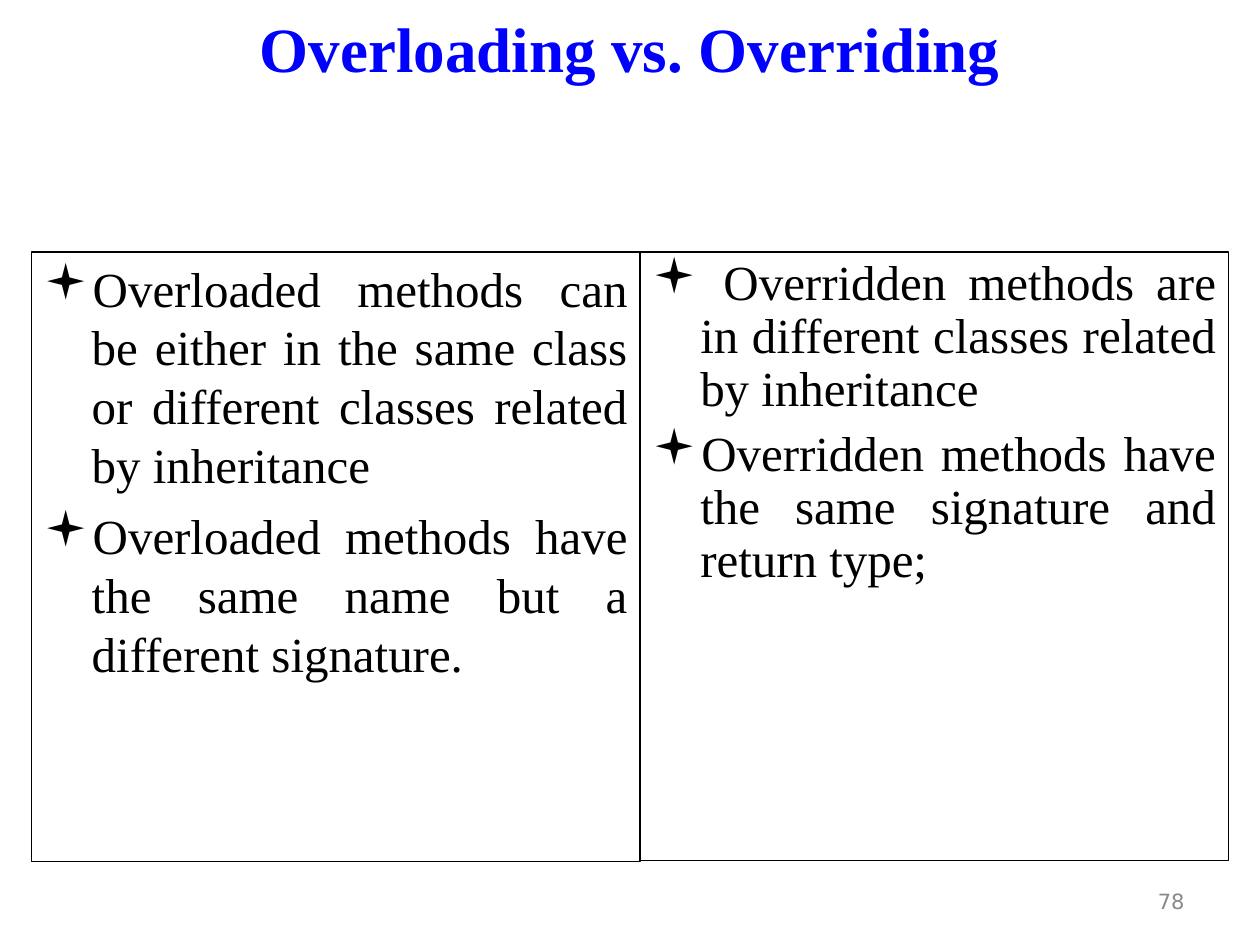
from dataclasses import dataclass

import pptx
import pptx.dml.color
import pptx.enum.shapes
import pptx.enum.text
import pptx.oxml.ns
import pptx.util
from lxml import etree
from pptx.util import Inches

ALIGN = pptx.enum.text.PP_ALIGN
ANCHOR = pptx.enum.text.MSO_ANCHOR


@dataclass(frozen=True)
class Theme:
    title_color: str = "0000FF"
    text_color: str = "000000"
    number_color: str = "898989"
    text_font: str = "Times New Roman"
    bullet_font: str = "Wingdings"
    number_font: str = "DejaVu Sans"
    title_size: int = 36
    body_size: int = 28
    number_size: int = 12
    paragraph_gap: int = 7
    line_width: float = 0.75


THEME = Theme()


def rgb(color):
    return pptx.dml.color.RGBColor.from_string(color)


def format_runs(paragraph, font_name, size, color, bold=False):
    for run in paragraph.runs:
        run.font.name = font_name
        run.font.size = pptx.util.Pt(size)
        run.font.color.rgb = rgb(color)
        run.font.bold = bold


def add_bullet(paragraph, indent=0.38):
    properties = paragraph._p.get_or_add_pPr()
    properties.set("marL", str(Inches(indent)))
    properties.set("indent", str(-Inches(indent)))
    qn = pptx.oxml.ns.qn
    bullet_color = etree.SubElement(properties, qn("a:buClr"))
    etree.SubElement(bullet_color, qn("a:srgbClr"), val=THEME.text_color)
    etree.SubElement(properties, qn("a:buFont"), typeface=THEME.bullet_font, charset="2")
    etree.SubElement(properties, qn("a:buChar"), char="▪")


def add_title(slide, text):
    title = slide.shapes.title
    title.left, title.top = Inches(0.5), Inches(0)
    title.width, title.height = Inches(9), Inches(0.75)
    text_frame = title.text_frame
    text_frame.text = text
    text_frame.vertical_anchor = ANCHOR.MIDDLE
    paragraph = text_frame.paragraphs[0]
    paragraph.alignment = ALIGN.CENTER
    format_runs(paragraph, THEME.text_font, THEME.title_size, THEME.title_color, True)


def add_bullet_panel(slide, left, width, height, points, line_spacing):
    panel = slide.shapes.add_shape(
        pptx.enum.shapes.MSO_SHAPE.RECTANGLE,
        Inches(left), Inches(2), Inches(width), Inches(height))
    panel.shadow.inherit = False
    panel.fill.background()
    panel.line.color.rgb = rgb(THEME.text_color)
    panel.line.width = pptx.util.Pt(THEME.line_width)

    text_frame = panel.text_frame
    text_frame.word_wrap = True
    text_frame.vertical_anchor = ANCHOR.TOP
    text_frame.text = "\n".join(points)
    for index, paragraph in enumerate(text_frame.paragraphs):
        paragraph.alignment = ALIGN.JUSTIFY
        paragraph.line_spacing = line_spacing
        paragraph.space_before = pptx.util.Pt(THEME.paragraph_gap if index else 0)
        add_bullet(paragraph)
        format_runs(paragraph, THEME.text_font, THEME.body_size, THEME.text_color)


def add_slide_number(slide, number):
    box = slide.shapes.add_textbox(
        Inches(7.17), Inches(6.95), Inches(2.33), Inches(0.4))
    text_frame = box.text_frame
    text_frame.word_wrap = True
    text_frame.vertical_anchor = ANCHOR.MIDDLE
    text_frame.text = number
    paragraph = text_frame.paragraphs[0]
    paragraph.alignment = ALIGN.RIGHT
    format_runs(paragraph, THEME.number_font, THEME.number_size, THEME.number_color)


def main():
    presentation = pptx.Presentation()
    presentation.slide_width = Inches(10)
    presentation.slide_height = Inches(7.5)
    slide = presentation.slides.add_slide(presentation.slide_layouts[5])

    add_title(slide, "Overloading vs. Overriding")

    # Side-by-side comparison
    add_bullet_panel(slide, 0.25, 4.83, 4.84, [
        "Overloaded methods can be either in the same class or different "
        "classes related by inheritance",
        "Overloaded methods have the same name but a different signature.",
    ], line_spacing=1.0)
    add_bullet_panel(slide, 5.08, 4.67, 4.83, [
        " Overridden methods are in different classes related by inheritance",
        "Overridden methods have the same signature and return type;",
    ], line_spacing=0.9)

    add_slide_number(slide, "78")
    presentation.save("out.pptx")


if __name__ == "__main__":
    main()
